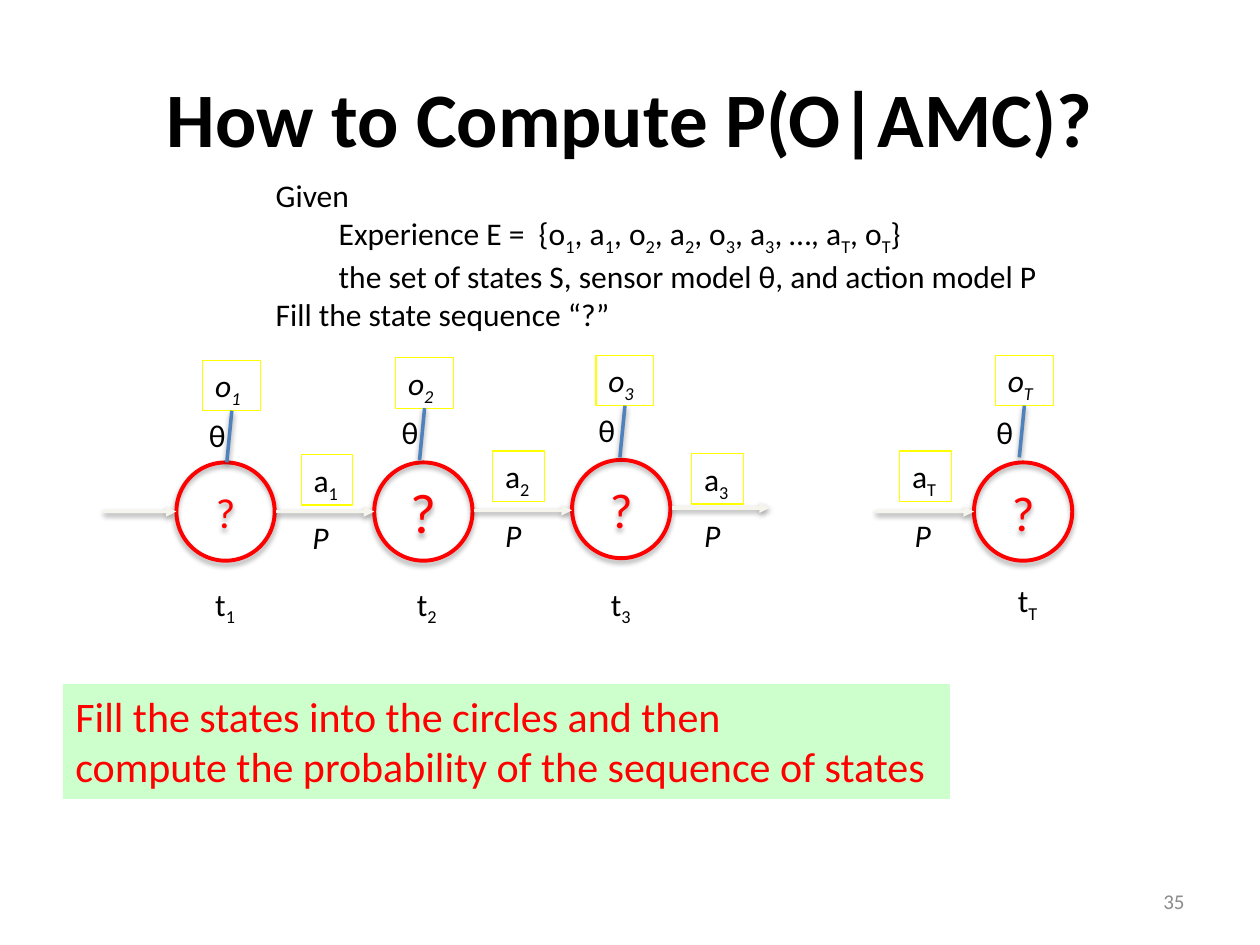
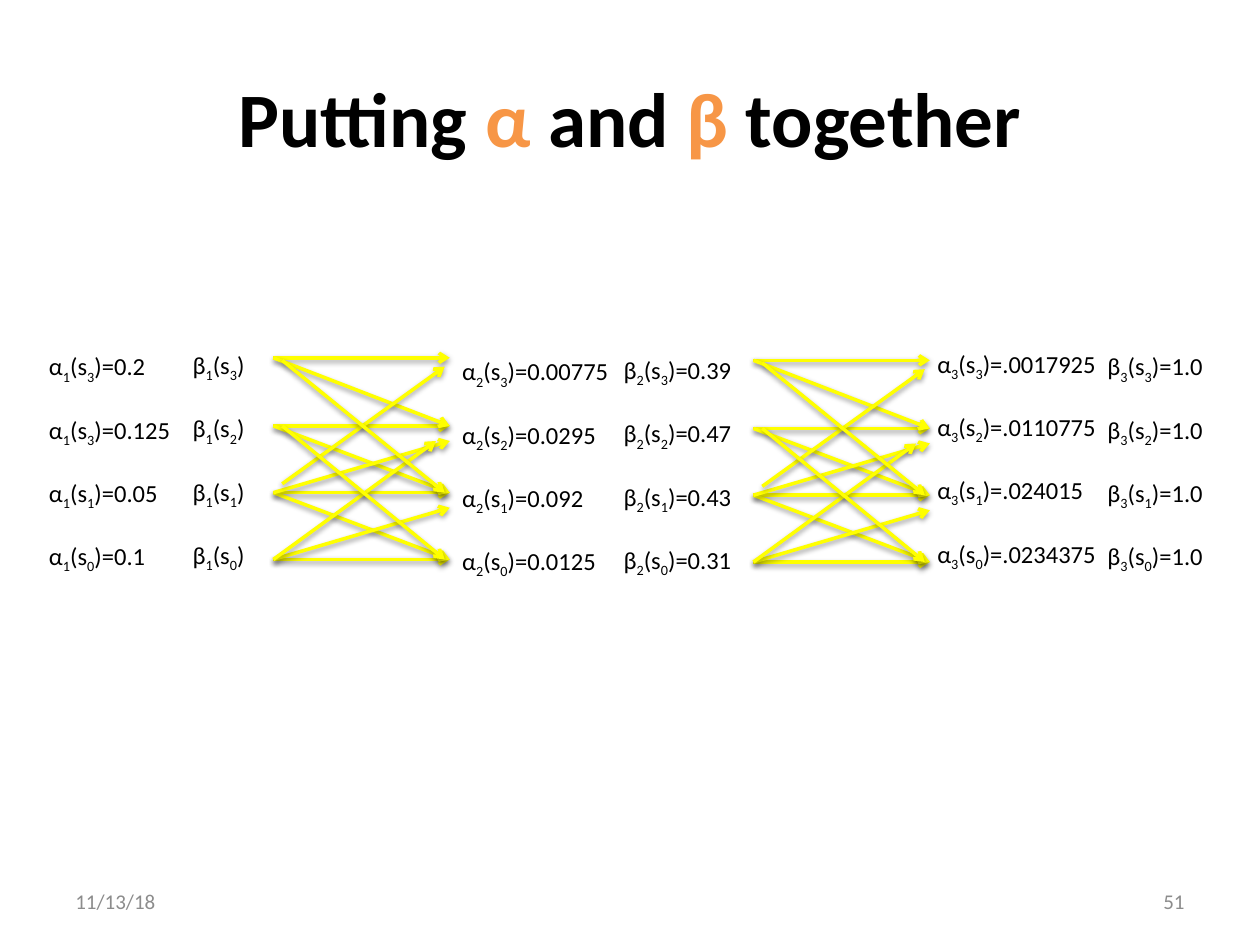
"""Build two slides on state sequences and on forward and backward values."""
import lxml.etree
import pptx
import pptx.dml.color
import pptx.enum.shapes
import pptx.enum.text
import pptx.oxml.ns
import pptx.util

Inches = pptx.util.Inches
qn = pptx.oxml.ns.qn
ALIGN = pptx.enum.text.PP_ALIGN
MIDDLE = pptx.enum.text.MSO_ANCHOR.MIDDLE
FIT = pptx.enum.text.MSO_AUTO_SIZE.SHAPE_TO_FIT_TEXT
OVAL = pptx.enum.shapes.MSO_SHAPE.OVAL
STRAIGHT = pptx.enum.shapes.MSO_CONNECTOR.STRAIGHT

FONT = "Calibri"
BLACK, RED, YELLOW, ORANGE = "000000", "FF0000", "FFFF00", "F79646"
GRAY, PALE, BLUE, GREEN = "8C8C8C", "F5F4ED", "4F81BD", "CCFFCC"

TITLES = ["How to Compute P(O|AMC)?", "Putting ~α~ and ~β ~together"]
NUMBERS = ["35", "51"]
DATE = "11/13/18"

GIVEN = [
    "Given",
    "\tExperience E =  {o_1, a_1, o_2, a_2, o_3, a_3, …, a_T, o_T}",
    "\tthe set of states S, sensor model θ, and action model P",
    "Fill the state sequence “?”",
]
TASK = [
    "Fill the states into the circles and then",
    "compute the probability of the sequence of states",
]
SIDE = 0.78
STAGES = [
    dict(mark="1", state=(1.4, 3.67), size=24, seen=(1.61, 2.86), theta=(1.56, 3.25), time=(1.61, 4.59)),
    dict(mark="2", state=(2.97, 3.67), size=32, seen=(3.14, 2.84), theta=(3.09, 3.23), time=(3.21, 4.59)),
    dict(mark="3", state=(4.54, 3.65), size=28, seen=(4.73, 2.82), theta=(4.65, 3.21), time=(4.75, 4.59)),
    dict(mark="T", state=(7.73, 3.67), size=28, seen=(7.9, 2.82), theta=(7.81, 3.23), time=(7.98, 4.56)),
]
ACTIONS = [
    dict(mark="1", start=(2.19, 4.06), act=(2.39, 3.61), model=(2.38, 4.06)),
    dict(mark="2", start=(3.76, 4.05), act=(3.91, 3.58), model=(3.91, 4.05)),
    dict(mark="3", start=(5.33, 4.03), act=(5.49, 3.6), model=(5.49, 4.05)),
    dict(mark="T", start=(6.95, 4.06), act=(7.14, 3.58), model=(7.16, 4.05)),
]

COLUMNS = [
    ("α", 1, (0.29, 2.74, 1.19), "3310", ["=0.2", "=0.125", "=0.05", "=0.1"]),
    ("α", 2, (3.57, 2.78, 1.39), "3210", ["=0.00775", "=0.0295", "=0.092", "=0.0125"]),
    ("α", 3, (7.34, 2.72, 1.49), "3210", ["=.0017925", "=.0110775", "=.024015", "=.0234375"]),
    ("β", 2, (4.85, 2.77, 1.09), "3210", ["=0.39", "=0.47", "=0.43", "=0.31"]),
    ("β", 3, (8.69, 2.74, 0.98), "3210", ["=1.0"] * 4),
    ("β", 1, (1.43, 2.73, 0.63), "3210", [""] * 4),
]
ROWS = [2.84, 3.38, 3.91, 4.44]
LEFT, RIGHT, RISE = 2.17, 3.57, 0.12
STEEP = [
    (2.17, 4.44, 3.46, 3.5),
    (2.24, 3.84, 3.53, 2.91),
    (2.24, 3.38, 3.53, 4.44),
    (2.24, 2.86, 3.53, 3.91),
]
SHIFTS = [(0, 0), (3.81, 0.02)]


def tint(code):
    return pptx.dml.color.RGBColor.from_string(code)


def write(frame, text, size=18, color=BLACK, bold=False, italic=False,
          align=ALIGN.LEFT, gap=0):
    lines = [text] if isinstance(text, str) else text
    for row, line in enumerate(lines):
        para = frame.add_paragraph() if row else frame.paragraphs[0]
        para.alignment = align
        if row and gap:
            para.space_before = pptx.util.Pt(gap)
        if line.startswith("\t"):
            para.level = 1
        for turn, part in enumerate(line.strip("\t").split("~")):
            first, *rest = part.split("_")
            bits = [(first, False)]
            for piece in rest:
                bits += [(piece[0], True), (piece[1:], False)]
            for words, low in bits:
                if not words:
                    continue
                run = para.add_run()
                run.text = words
                font = run.font
                font.name, font.size = FONT, pptx.util.Pt(size)
                font.bold, font.italic = bold, italic
                font.color.rgb = tint(ORANGE if turn % 2 else color)
                if low:
                    run._r.get_or_add_rPr().set("baseline", "-25000")


def label(slide, text, place, fill=None, edge=None, fit=True, **style):
    box = slide.shapes.add_textbox(*map(Inches, place))
    frame = box.text_frame
    if fit:
        frame.word_wrap = False
        frame.auto_size = FIT
    else:
        frame.word_wrap = True
        frame.vertical_anchor = MIDDLE
    if fill:
        box.fill.solid()
        box.fill.fore_color.rgb = tint(fill)
    if edge:
        box.line.color.rgb = tint(edge)
        box.line.width = pptx.util.Pt(0.75)
    write(frame, text, **style)
    return box


def shade(item, alpha, drop):
    effects = lxml.etree.SubElement(item._element.spPr, qn("a:effectLst"))
    cast = lxml.etree.SubElement(
        effects, qn("a:outerShdw"), blurRad="40000", dist=str(drop),
        dir="5400000", rotWithShape="0")
    black = lxml.etree.SubElement(cast, qn("a:srgbClr"), val=BLACK)
    lxml.etree.SubElement(black, qn("a:alpha"), val=str(alpha * 1000))


def link(shapes, ends, color, head=None):
    line = shapes.add_connector(STRAIGHT, *map(Inches, ends))
    line.line.color.rgb = tint(color)
    line.line.width = pptx.util.Pt(2)
    if head:
        lxml.etree.SubElement(
            line._element.spPr.find(qn("a:ln")), qn("a:tailEnd"), type=head)
    shade(line, 38, 20000)
    return line


def circle(slide, place, size):
    disc = slide.shapes.add_shape(OVAL, *map(Inches, (*place, SIDE, SIDE)))
    disc.fill.background()
    disc.line.color.rgb = tint(RED)
    disc.line.width = pptx.util.Pt(2.25)
    shade(disc, 35, 23000)
    disc.text_frame.vertical_anchor = MIDDLE
    write(disc.text_frame, "?", size=size, color=RED, align=ALIGN.CENTER)


def start(deck, title, number):
    slide = deck.slides.add_slide(deck.slide_layouts[5])
    head = slide.shapes.title
    head.left, head.top, head.width, head.height = map(Inches, (0.5, 0.3, 9, 1.25))
    head.text_frame.vertical_anchor = MIDDLE
    write(head.text_frame, title, size=44, bold=True, align=ALIGN.CENTER)
    label(slide, number, (7.17, 6.95, 2.33, 0.4), fit=False, size=12,
          color=GRAY, align=ALIGN.RIGHT)
    return slide


def chain(slide):
    for stage in STAGES:
        mark, (x, y) = stage["mark"], stage["seen"]
        circle(slide, stage["state"], stage["size"])
        seen = label(slide, f"o_{mark}", (x, y, 0.46, 0.4), edge=YELLOW, italic=True)
        foot = x + 0.19, y + 0.81
        stem = link(slide.shapes, (*foot, x + 0.23, y + 0.4), BLUE)
        stem.end_connect(seen, 2)
        label(slide, "θ", (*stage["theta"], 0.34, 0.4))
        label(slide, f"t_{mark}", (*stage["time"], 0.37, 0.4))
    link(slide.shapes, (0.82, 4.06, 1.4, 4.06), PALE, "triangle")
    for step in ACTIONS:
        x, y = step["start"]
        link(slide.shapes, (x, y, x + SIDE, y), PALE, "triangle")
        label(slide, f"a_{step['mark']}", (*step["act"], 0.41, 0.4), edge=YELLOW)
        label(slide, "P", (*step["model"], 0.39, 0.4), italic=True)
    label(slide, TASK, (0.5, 5.43, 7.04, 0.91), fill=GREEN, size=24, color=RED)
    label(slide, GIVEN, (2.09, 1.35, 6.26, 1.31))


def lattice(slide):
    flat = [(LEFT, y, RIGHT, y) for y in ROWS]
    down = [(LEFT, a, RIGHT, b) for a, b in zip(ROWS, ROWS[1:])]
    rise = [(LEFT, b, RIGHT, a + RISE) for a, b in zip(ROWS[1:], ROWS[2:])]
    for dx, dy in SHIFTS:
        group = slide.shapes.add_group_shape()
        for a, b, c, d in flat + down + rise + STEEP:
            link(group.shapes, (a + dx, b + dy, c + dx, d + dy), YELLOW, "arrow")
    for name, step, place, states, values in COLUMNS:
        lines = [f"{name}_{step}(s_{state}){value}" for state, value in zip(states, values)]
        label(slide, lines, (*place, 1.75), size=14, gap=17)
    label(slide, DATE, (0.5, 6.95, 2.33, 0.4), fit=False, size=12, color=GRAY)


def main():
    deck = pptx.Presentation()
    deck.slide_width, deck.slide_height = Inches(10), Inches(7.5)
    for title, number, draw in zip(TITLES, NUMBERS, (chain, lattice)):
        draw(start(deck, title, number))
    deck.save("out.pptx")


if __name__ == "__main__":
    main()
